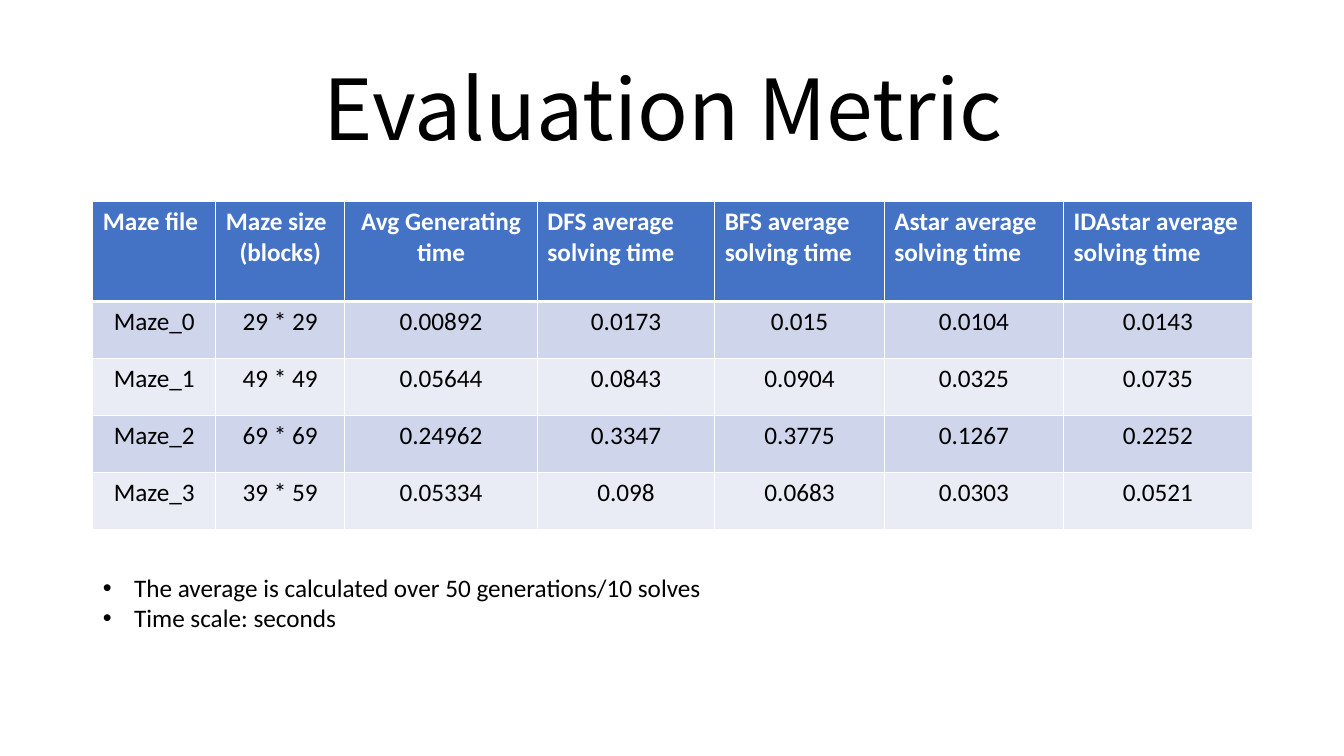
from lxml.etree import SubElement
from pptx import Presentation
from pptx.dml.color import RGBColor
from pptx.enum.text import MSO_ANCHOR, MSO_AUTO_SIZE, PP_ALIGN
from pptx.oxml.ns import qn
from pptx.util import Inches, Pt

WHITE = RGBColor(0xFF, 0xFF, 0xFF)
BLACK = RGBColor(0x00, 0x00, 0x00)
HEADER_BLUE = RGBColor(0x44, 0x72, 0xC4)
BANDS = [RGBColor(0xCF, 0xD5, 0xEA), RGBColor(0xE9, 0xEB, 0xF5)]
TITLE_FONT = "Noto Sans CJK TC"
BODY_FONT = "Calibri"
LEFT, CENTER = PP_ALIGN.LEFT, PP_ALIGN.CENTER

# Each header: its text and the alignment of each paragraph
HEADERS = [
    ("Maze file", [LEFT]),
    ("Maze size\n(blocks)", [LEFT, CENTER]),
    ("Avg Generating time", [CENTER]),
    ("DFS average\nsolving time", [LEFT, LEFT]),
    ("BFS average\nsolving time", [LEFT, LEFT]),
    ("Astar average \nsolving time", [LEFT, LEFT]),
    ("IDAstar average\nsolving time", [LEFT, LEFT]),
]
RESULTS = [
    ["Maze_0", "29 * 29", "0.00892", "0.0173", "0.015", "0.0104", "0.0143"],
    ["Maze_1", "49 * 49", "0.05644", "0.0843", "0.0904", "0.0325", "0.0735"],
    ["Maze_2", "69 * 69", "0.24962", "0.3347", "0.3775", "0.1267", "0.2252"],
    ["Maze_3", "39 * 59", "0.05334", "0.098", "0.0683", "0.0303", "0.0521"],
]
COLUMN_WIDTHS = [1.22, 1.28, 1.91, 1.76, 1.68, 1.78, 1.87]
HEADER_HEIGHT = 0.99
NOTES = ["The average is calculated over 50 generations/10 solves",
         "Time scale: seconds"]


def place(shape, box):
    shape.left, shape.top, shape.width, shape.height = map(Inches, box)


def style(para, font, size, color, bold=False):
    para.font.name = font
    para.font.size = Pt(size)
    para.font.color.rgb = color
    para.font.bold = bold


def set_border(cell, side, points):
    line = SubElement(cell._tc.get_or_add_tcPr(), qn(f"a:ln{side}"), w=str(Pt(points)))
    fill = SubElement(line, qn("a:solidFill"))
    SubElement(fill, qn("a:srgbClr"), val=str(WHITE))


def fill_cell(cell, text, alignments, fill, color, header):
    for side in "LRTB":
        set_border(cell, side, 3 if header and side == "B" else 1)
    cell.fill.solid()
    cell.fill.fore_color.rgb = fill
    cell.text = text
    for para, alignment in zip(cell.text_frame.paragraphs, alignments):
        para.alignment = alignment
        style(para, BODY_FONT, 18, color, header)


def add_title(page, box):
    title = page.shapes.title
    place(title, box)
    frame = title.text_frame
    frame.text = "Evaluation Metric "
    frame.auto_size = MSO_AUTO_SIZE.NONE
    frame.vertical_anchor = MSO_ANCHOR.MIDDLE
    para = frame.paragraphs[0]
    para.alignment = CENTER
    para.line_spacing = 0.9
    style(para, TITLE_FONT, 60, BLACK)


def add_results_table(page, box):
    table = page.shapes.add_table(
        len(RESULTS) + 1, len(HEADERS), *map(Inches, box)).table
    for column, width in zip(table.columns, COLUMN_WIDTHS):
        column.width = Inches(width)
    row_height = (box[3] - HEADER_HEIGHT) / len(RESULTS)
    for index, row in enumerate(table.rows):
        row.height = Inches(row_height if index else HEADER_HEIGHT)

    for column, (text, alignments) in enumerate(HEADERS):
        fill_cell(table.cell(0, column), text, alignments, HEADER_BLUE, WHITE, True)
    for row, values in enumerate(RESULTS):
        for column, value in enumerate(values):
            fill_cell(table.cell(row + 1, column), value, [CENTER],
                      BANDS[row % 2], BLACK, False)


def add_notes_list(page, box):
    body = page.placeholders[1]
    place(body, box)
    frame = body.text_frame
    frame.text = "\n".join(NOTES)
    frame.auto_size = MSO_AUTO_SIZE.NONE
    frame.vertical_anchor = MSO_ANCHOR.TOP
    for para in frame.paragraphs:
        para.alignment = LEFT
        para.space_before = Pt(0)
        style(para, BODY_FONT, 18, BLACK)
        properties = para._p.get_or_add_pPr()
        properties.set("marL", str(Inches(0.31)))
        properties.set("indent", str(Inches(-0.31)))
        SubElement(properties, qn("a:buFont"), typeface="Arial")
        SubElement(properties, qn("a:buChar"), char="•")
        # Bullets come before the default run properties
        properties.append(properties.find(qn("a:defRPr")))


deck = Presentation()
deck.slide_width, deck.slide_height = Inches(13.33), Inches(7.5)
page = deck.slides.add_slide(deck.slide_layouts[1])
page.background.fill.solid()
page.background.fill.fore_color.rgb = WHITE
add_title(page, (0.92, 0.4, 11.5, 1.45))
add_results_table(page, (0.92, 2, 11.5, 3.25))
add_notes_list(page, (0.92, 5.63, 11.31, 0.71))
deck.save("out.pptx")
